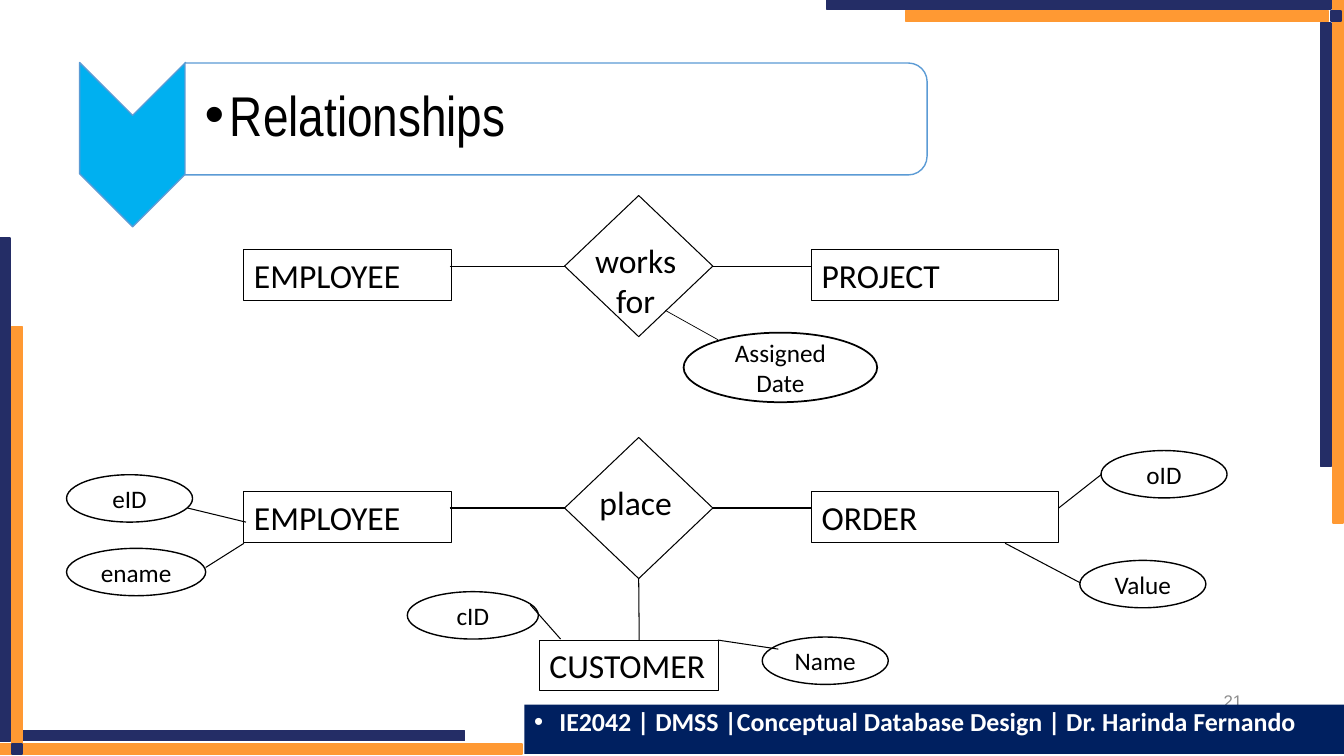
from dataclasses import dataclass

from lxml import etree
from pptx import Presentation
from pptx.dml.color import RGBColor
from pptx.enum.shapes import MSO_CONNECTOR, MSO_SHAPE
from pptx.enum.text import MSO_ANCHOR, MSO_AUTO_SIZE, PP_ALIGN
from pptx.oxml.ns import qn
from pptx.util import Inches, Pt

RECT, OVAL, DIAMOND = MSO_SHAPE.RECTANGLE, MSO_SHAPE.OVAL, MSO_SHAPE.DIAMOND
CHEVRON, ROUNDED = MSO_SHAPE.CHEVRON, MSO_SHAPE.ROUND_2_SAME_RECTANGLE
STRAIGHT = MSO_CONNECTOR.STRAIGHT
TOP, MIDDLE = MSO_ANCHOR.TOP, MSO_ANCHOR.MIDDLE
LEFT, CENTER, RIGHT = PP_ALIGN.LEFT, PP_ALIGN.CENTER, PP_ALIGN.RIGHT
NO_FIT = MSO_AUTO_SIZE.NONE
SIDE_LEFT, SIDE_BOTTOM, SIDE_RIGHT = 1, 2, 3

BLACK = RGBColor(0x00, 0x00, 0x00)
WHITE = RGBColor(0xFF, 0xFF, 0xFF)
ORANGE = RGBColor(0xFF, 0x99, 0x33)
INDIGO = RGBColor(0x24, 0x2D, 0x66)
NAVY = RGBColor(0x00, 0x20, 0x60)
SKY = RGBColor(0x00, 0xB0, 0xF0)
OUTLINE = RGBColor(0x5B, 0x9B, 0xD5)
GRAY = RGBColor(0x8C, 0x8C, 0x8C)

Box = tuple[float, float, float, float]
BAR = 0.1


@dataclass(frozen=True)
class Node:
    """An entity (rectangle) or attribute (ellipse) of the diagram."""
    text: str
    box: Box
    kind: MSO_SHAPE = OVAL
    line_pt: float = 1
    filled: bool = False


@dataclass(frozen=True)
class Relationship:
    label: str
    top: float
    label_box: Box
    right_entity: str


@dataclass(frozen=True)
class Link:
    x1: float
    y1: float
    x2: float
    y2: float
    line_pt: float = 0.75


FRAME_BARS: list[tuple[Box, RGBColor]] = [
    ((13.22, -0.01, BAR, 5.2), ORANGE),
    ((13.1, 0.23, BAR, 4.4), INDIGO),
    ((8.2, -0.01, 5, BAR), INDIGO),
    ((8.98, 0.11, 4.2, BAR), ORANGE),
    ((13.2, 0.11, BAR, BAR), INDIGO),
    ((-0.02, 7.38, 5.2, BAR), ORANGE),
    ((0.21, 7.25, 4.4, BAR), INDIGO),
    ((0, 2.36, BAR, 5), INDIGO),
    ((0.12, 3.24, BAR, 4.2), ORANGE),
    ((0.12, 7.38, BAR, BAR), INDIGO),
]
RELATIONSHIPS = [
    Relationship("place", 4.34, (5.84, 4.73, 0.93, 0.91), "ORDER"),
    Relationship("works\nfor", 1.94, (5.72, 2.33, 1.17, 1.31), "PROJECT"),
]
NODES = [
    Node("Assigned Date", (6.78, 3.3, 1.92, 0.69), line_pt=1.25, filled=True),
    Node("CUSTOMER", (5.35, 6.35, 1.78, 0.5), RECT, 0.75, True),
    Node("Name", (7.56, 6.32, 1.25, 0.47)),
    Node("cID", (4.04, 5.87, 1.3, 0.47)),
    Node("Value", (10.71, 5.56, 1.25, 0.47)),
    Node("oID", (10.92, 4.47, 1.25, 0.47)),
    Node("ename", (0.66, 5.44, 1.38, 0.47)),
    Node("eID", (0.66, 4.71, 1.25, 0.47)),
]
ATTRIBUTE_LINKS = [
    Link(7.12, 3.37, 6.6, 3.08, 0.5),
    Link(9.97, 5.39, 10.71, 5.78),
    Link(2.42, 5.39, 2.04, 5.63),
    Link(10.92, 4.71, 10.5, 5.04),
    Link(1.86, 5.04, 2.44, 5.18),
    Link(5.56, 6.34, 5.26, 6),
    Link(7.72, 6.44, 7.12, 6.35),
]


def add_block(shapes, kind, box: Box, fill=None, line=None, line_pt: float = 1):
    block = shapes.add_shape(kind, *map(Inches, box))
    block.shadow.inherit = False
    if fill is None:
        block.fill.background()
    else:
        block.fill.solid()
        block.fill.fore_color.rgb = fill
    if line is None:
        block.line.fill.background()
    else:
        block.line.color.rgb = line
        block.line.width = Pt(line_pt)
    return block


def add_bullet(paragraph) -> None:
    properties = paragraph._p.get_or_add_pPr()
    properties.set("marL", str(Inches(0.25)))
    properties.set("indent", str(Inches(-0.25)))
    font = etree.SubElement(properties, qn("a:buFont"))
    font.set("typeface", "Arial")
    etree.SubElement(properties, qn("a:buChar")).set("char", "•")


def write(shape, text: str, size: float, align=LEFT, anchor=TOP, color=BLACK,
          font="Calibri", bold=False, wrap=True, bullet=False) -> None:
    frame = shape.text_frame
    frame.text = text
    frame.auto_size = NO_FIT
    frame.word_wrap = wrap
    frame.vertical_anchor = anchor
    for paragraph in frame.paragraphs:
        if bullet:
            add_bullet(paragraph)
            paragraph.line_spacing = 0.9
        paragraph.space_before = Pt(0)
        paragraph.alignment = align
        paragraph.font.name = font
        paragraph.font.size = Pt(size)
        paragraph.font.bold = bold
        paragraph.font.color.rgb = color


def add_link(shapes, link: Link):
    ends = (link.x1, link.y1, link.x2, link.y2)
    connector = shapes.add_connector(STRAIGHT, *map(Inches, ends))
    connector.line.color.rgb = BLACK
    connector.line.width = Pt(link.line_pt)
    etree.SubElement(connector._element.spPr, qn("a:effectLst"))
    return connector


def add_node(shapes, node: Node) -> None:
    fill = WHITE if node.filled else None
    block = add_block(shapes, node.kind, node.box, fill, BLACK, node.line_pt)
    if node.kind == RECT:
        write(block, node.text, 24)
    else:
        write(block, node.text, 18, CENTER, MIDDLE)


def add_relationship(shapes, relationship: Relationship):
    top = relationship.top
    diamond = add_block(shapes, DIAMOND, (5.6, top, 1.47, 1.4), None, BLACK, 0.75)
    label = shapes.add_textbox(*map(Inches, relationship.label_box))
    write(label, relationship.label, 24, CENTER, wrap=False)
    add_node(shapes, Node("EMPLOYEE", (2.42, top + 0.54, 2.06, 0.5), RECT, 0.75, True))
    add_node(shapes, Node(relationship.right_entity, (8.05, top + 0.54, 2.45, 0.5),
                          RECT, 0.75, True))
    axis = top + 0.7
    add_link(shapes, Link(4.46, axis, 5.6, axis)).end_connect(diamond, SIDE_LEFT)
    add_link(shapes, Link(7.07, axis, 8.05, axis)).begin_connect(diamond, SIDE_RIGHT)
    return diamond


def main() -> None:
    deck = Presentation()
    deck.slide_width, deck.slide_height = Inches(13.33), Inches(7.5)
    slide = deck.slides.add_slide(deck.slide_layouts[5])
    shapes = slide.shapes

    # Frame and slide number
    for box, color in FRAME_BARS:
        add_block(shapes, RECT, box, color, color)
    number = shapes.add_textbox(*map(Inches, (9.42, 6.75, 3, 0.4)))
    write(number, "21", 12, RIGHT, MIDDLE, GRAY, "Arial")

    # Heading
    chevron = add_block(shapes, CHEVRON, (0.5, 0.91, 1.63, 1.05), SKY, OUTLINE)
    panel = add_block(shapes, ROUNDED, (4.96, -2.5, 1.11, 7.36), WHITE, OUTLINE)
    chevron.rotation = panel.rotation = 90
    title = shapes.title
    title.left, title.top, title.width, title.height = map(Inches, (1.84, 0.67, 7.33, 1))
    write(title, "Relationships", 40, anchor=MIDDLE, font="Arial Narrow", bullet=True)
    inner = title.text_frame
    inner.margin_left = Inches(0.19)
    inner.margin_top = inner.margin_right = inner.margin_bottom = Inches(0.02)
    panel._element.addnext(title._element)  # keep the title above its panel

    # Relationships, entities and attributes
    place, _ = [add_relationship(shapes, item) for item in RELATIONSHIPS]
    for node in NODES:
        add_node(shapes, node)
    customer_link = add_link(shapes, Link(6.34, 5.74, 6.34, 6.35))
    customer_link.begin_connect(place, SIDE_BOTTOM)
    for link in ATTRIBUTE_LINKS:
        add_link(shapes, link)

    # Footer
    footer = add_block(shapes, RECT, (5.2, 6.99, 8.13, 0.49), NAVY)
    write(footer, "IE2042 | DMSS |Conceptual Database Design | Dr. Harinda Fernando",
          18.5, color=WHITE, bold=True, bullet=True)

    deck.save("out.pptx")


if __name__ == "__main__":
    main()
